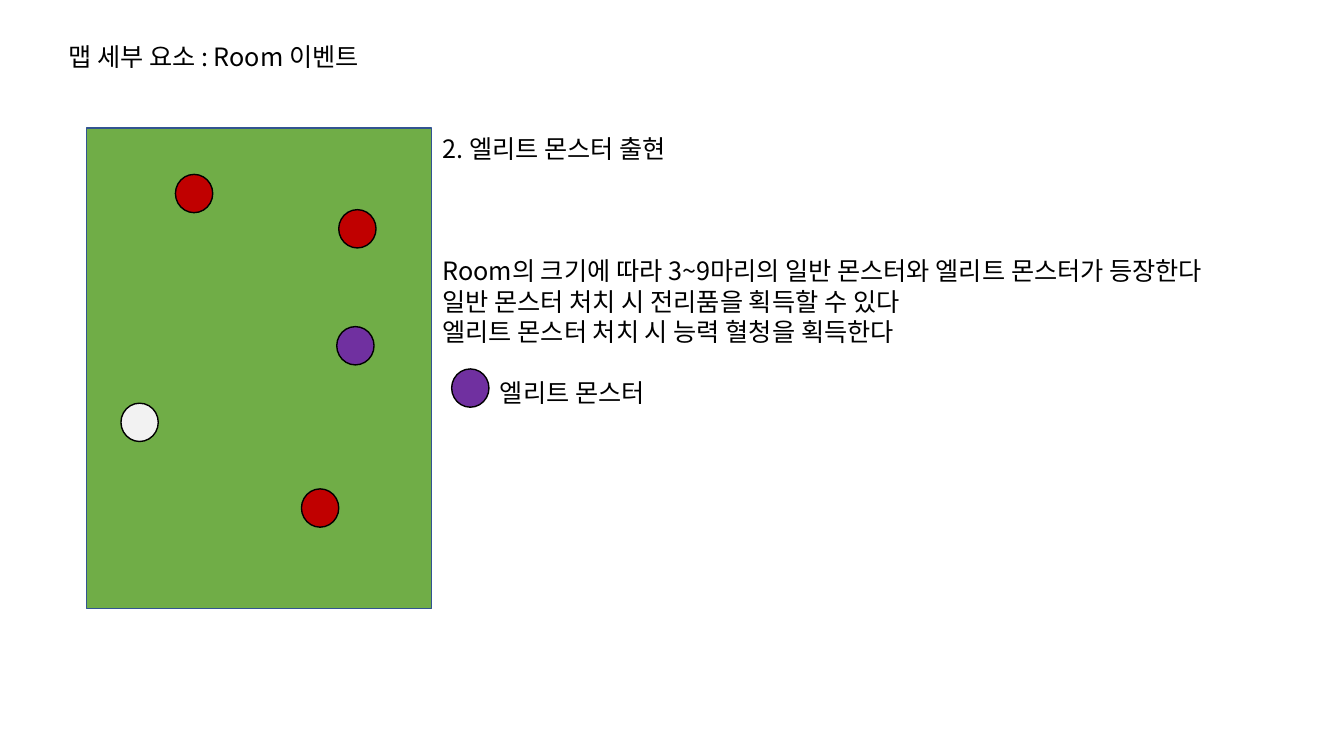
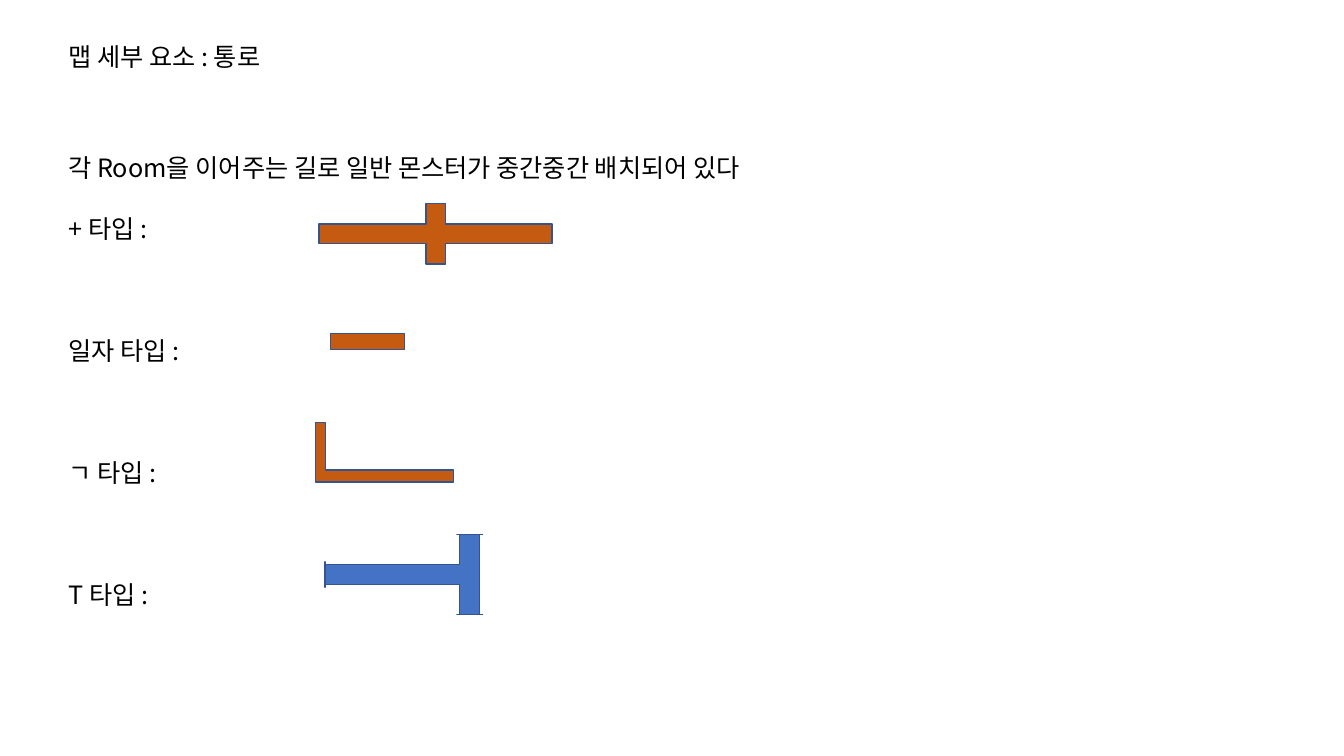
from dataclasses import dataclass

from lxml.etree import SubElement
from pptx import Presentation
from pptx.dml.color import RGBColor
from pptx.enum.shapes import MSO_SHAPE as Shape
from pptx.enum.text import MSO_AUTO_SIZE as AutoSize
from pptx.oxml.ns import qn
from pptx.util import Inches, Pt


@dataclass(frozen=True)
class Theme:
    font: str = "Noto Sans CJK KR"
    size: float = 18
    leading: float = 21.8
    outline_width: float = 1
    ink: str = "000000"
    outline: str = "325491"
    grass: str = "70AD47"
    monster: str = "C00000"
    elite: str = "7030A0"
    player: str = "F2F2F2"
    corridor: str = "C55A11"
    junction: str = "4472C4"


class Deck:
    def __init__(self, theme):
        self.theme = theme
        self.presentation = Presentation()
        self.presentation.slide_width = Inches(13.33)
        self.presentation.slide_height = Inches(7.5)
        self.slide = None

    def new_slide(self, title):
        blank = self.presentation.slide_layouts[6]
        self.slide = self.presentation.slides.add_slide(blank)
        self.text(0.58, 0.36, 4.95, [(title, 0, 0)])

    def text(self, left, top, width, lines):
        line_count = sum(1 + skipped for _, skipped, _ in lines)
        height = line_count * self.theme.leading / 72 + 0.1
        box = self.slide.shapes.add_textbox(
            Inches(left), Inches(top), Inches(width), Inches(height))
        frame = box.text_frame
        frame_format = {"word_wrap": True, "auto_size": AutoSize.SHAPE_TO_FIT_TEXT}
        for name, value in frame_format.items():
            setattr(frame, name, value)
        for number, (wording, skipped, indent) in enumerate(lines):
            paragraph = frame.add_paragraph() if number else frame.paragraphs[0]
            self.paragraph(paragraph, wording, skipped, indent)

    def paragraph(self, paragraph, wording, skipped, indent):
        spacing = {
            "line_spacing": Pt(self.theme.leading),
            "space_before": Pt(skipped * self.theme.leading),
        }
        for name, value in spacing.items():
            setattr(paragraph, name, value)
        if indent:
            paragraph._p.get_or_add_pPr().set("marL", str(Inches(indent)))
        run = paragraph.add_run()
        run.text = wording
        font_format = {"name": self.theme.font, "size": Pt(self.theme.size)}
        for name, value in font_format.items():
            setattr(run.font, name, value)
        run.font.color.rgb = RGBColor.from_string(self.theme.ink)
        SubElement(run.font._element, qn("a:ea"), typeface=self.theme.font)

    def shape(self, kind, left, top, width, height, fill, outline=None,
              rotation=0, adjustments=(), flipped=False):
        figure = self.slide.shapes.add_shape(
            kind, Inches(left), Inches(top), Inches(width), Inches(height))
        figure.shadow.inherit = False
        figure.fill.solid()
        figure.fill.fore_color.rgb = RGBColor.from_string(fill)
        figure.line.color.rgb = RGBColor.from_string(outline or self.theme.outline)
        figure.line.width = Pt(self.theme.outline_width)
        figure.rotation = rotation
        for index, value in enumerate(adjustments):
            figure.adjustments[index] = value
        if flipped:
            figure._element.spPr.get_or_add_xfrm().set("flipH", "1")

    def token(self, left, top, fill):
        self.shape(Shape.OVAL, left, top, 0.37, 0.38, fill, self.theme.ink)

    def save(self):
        self.presentation.save("out.pptx")


def build_room_event(deck):
    theme = deck.theme
    deck.new_slide("맵 세부 요소 : Room 이벤트")
    deck.text(4.29, 1.27, 8.81, [
        ("2. 엘리트 몬스터 출현", 0, 0),
        ("Room의 크기에 따라 3~9마리의 일반 몬스터와 엘리트 몬스터가 등장한다", 3, 0),
        ("일반 몬스터 처치 시 전리품을 획득할 수 있다", 0, 0),
        ("엘리트 몬스터 처치 시 능력 혈청을 획득한다", 0, 0),
        ("엘리트 몬스터", 1, 0.57),
    ])
    deck.shape(Shape.RECTANGLE, 0.86, 1.27, 3.42, 4.77, theme.grass)
    tokens = [
        (3.36, 2.08, theme.monster),
        (2.99, 4.85, theme.monster),
        (1.74, 1.73, theme.monster),
        (3.34, 3.24, theme.elite),
        (4.48, 3.66, theme.elite),
        (1.2, 4, theme.player),
    ]
    for left, top, fill in tokens:
        deck.token(left, top, fill)


def build_corridors(deck):
    theme = deck.theme
    deck.new_slide("맵 세부 요소 : 통로")
    corridor_types = ["일자 타입 :", "ㄱ 타입 :", "T 타입 :"]
    deck.text(0.58, 1.46, 7.85, [
        ("각 Room을 이어주는 길로 일반 몬스터가 중간중간 배치되어 있다", 0, 0),
        ("+ 타입 :", 1, 0),
        *((label, 3, 0) for label in corridor_types),
    ])
    deck.shape(Shape.MATH_PLUS, 2.75, 1.91, 3.14, 0.82, theme.corridor)
    deck.shape(Shape.RECTANGLE, 3.28, 3.31, 0.73, 0.16, theme.corridor)
    deck.shape(Shape.CORNER, 3.52, 3.8, 0.59, 1.37, theme.corridor,
               rotation=90, adjustments=(0.17, 0.2), flipped=True)
    deck.shape(Shape.LEFT_RIGHT_UP_ARROW, 3.61, 4.92, 0.79, 1.56, theme.junction,
               rotation=270, adjustments=(0.25, 0.16, 0))


def main():
    deck = Deck(Theme())
    build_room_event(deck)
    build_corridors(deck)
    deck.save()


if __name__ == "__main__":
    main()
